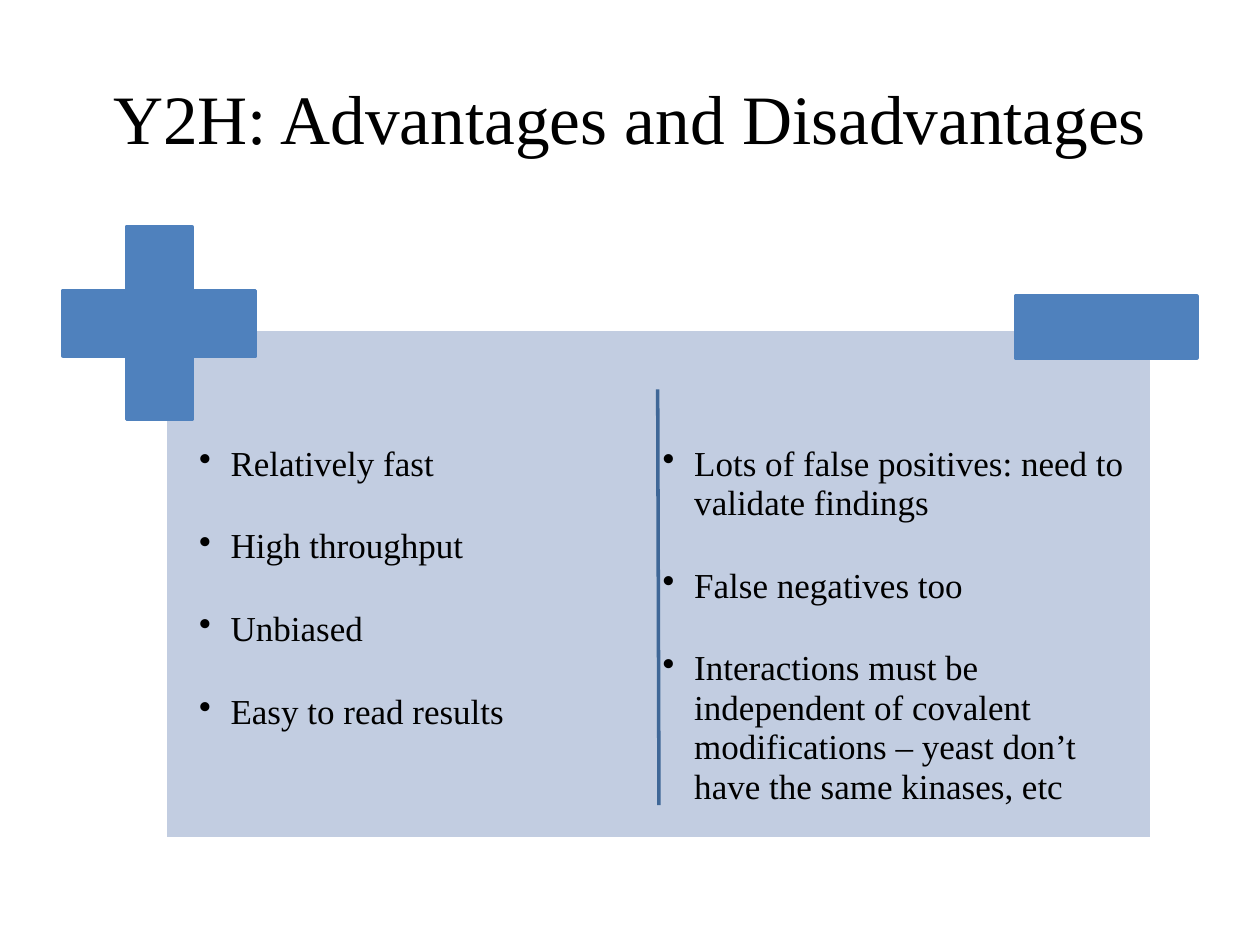
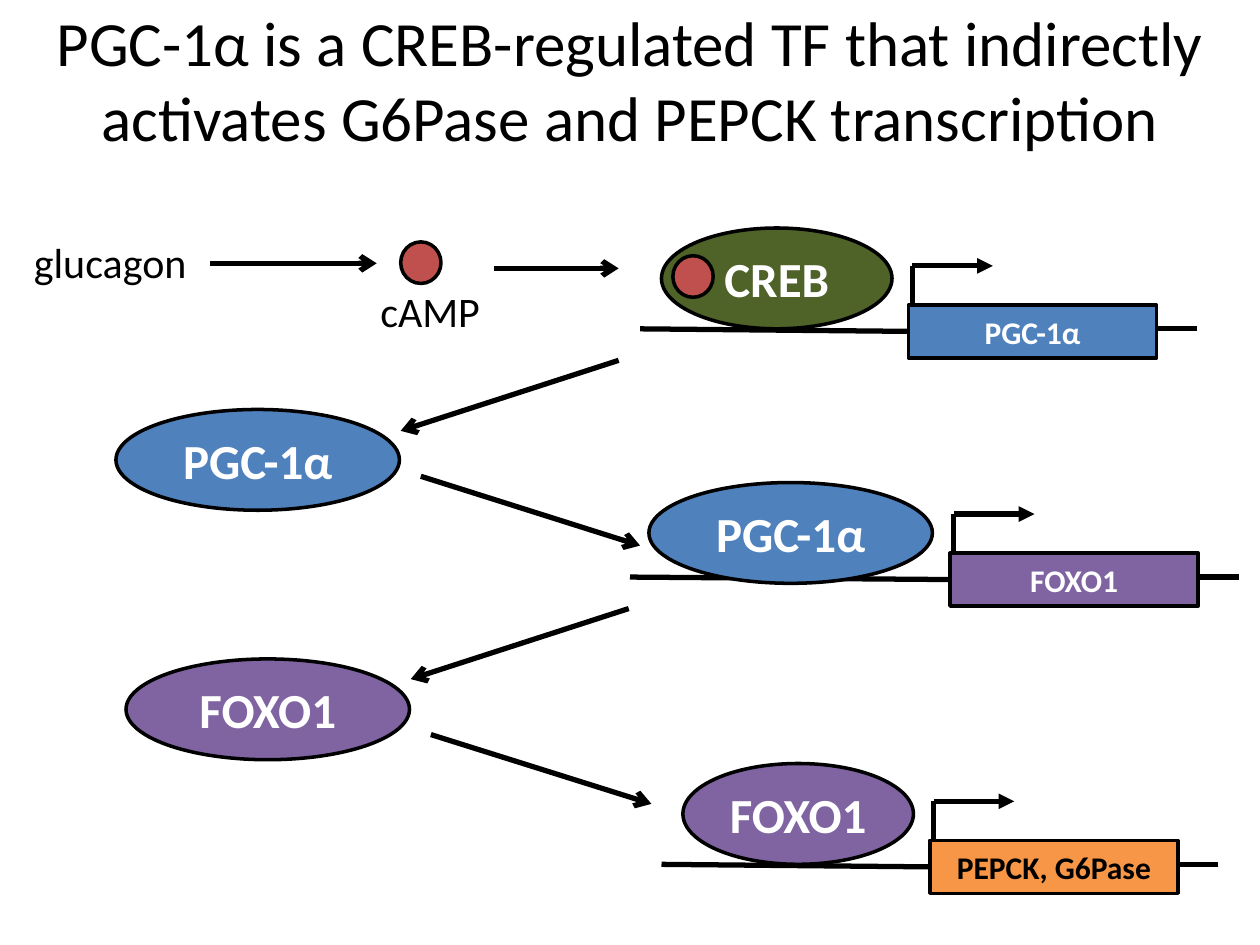
from dataclasses import dataclass

from lxml import etree
from pptx import Presentation
from pptx import util as u
from pptx.dml.color import RGBColor
from pptx.enum import shapes, text
from pptx.oxml import ns


@dataclass(frozen=True)
class Theme:
    serif: str = "Times New Roman"
    sans: str = "Calibri"
    black: str = "000000"
    white: str = "FFFFFF"
    blue: str = "4F81BD"
    pale_blue: str = "C2CDE1"
    dark_blue: str = "3F6797"
    purple: str = "8064A2"
    green: str = "4F6228"
    red: str = "C0504D"
    orange: str = "F79646"
    serif_title: float = 39.6
    sans_title: float = 36
    protein: float = 28
    label: float = 24
    bullet: float = 20
    gene: float = 18


T = Theme()
RECT = shapes.MSO_SHAPE.RECTANGLE
OVAL = shapes.MSO_SHAPE.OVAL
PLUS = shapes.MSO_SHAPE.CROSS


def add_box(s, kind, at, words="", size=T.label, color=T.black, font=T.sans,
            bold=False, fill=None, line=T.black, centered=True, wrap=True):
    at = [u.Inches(v) for v in at]
    if kind is None:
        sp = s.shapes.add_textbox(*at)
    else:
        sp = s.shapes.add_shape(kind, *at)
        sp.shadow.inherit = False
        sp.fill.solid()
        sp.fill.fore_color.rgb = RGBColor.from_string(fill)
        sp.line.color.rgb = RGBColor.from_string(line)
        sp.line.width = u.Pt(2)
    tf = sp.text_frame
    tf.word_wrap = wrap
    tf.vertical_anchor = text.MSO_ANCHOR.MIDDLE if centered else text.MSO_ANCHOR.TOP
    for i, content in enumerate(words.split("\n") if words else []):
        p = tf.add_paragraph() if i else tf.paragraphs[0]
        p.alignment = text.PP_ALIGN.CENTER if centered else text.PP_ALIGN.LEFT
        r = p.add_run()
        r.text = content
        r.font.name = font
        r.font.size = u.Pt(size)
        r.font.bold = bold
        r.font.color.rgb = RGBColor.from_string(color)
    return sp


def add_line(s, start, end, color=T.black, width=3, arrow=None):
    points = [u.Inches(v) for v in (*start, *end)]
    cxn = s.shapes.add_connector(shapes.MSO_CONNECTOR.STRAIGHT, *points)
    cxn.line.color.rgb = RGBColor.from_string(color)
    cxn.line.width = u.Pt(width)
    if arrow:
        etree.SubElement(cxn.line._get_or_add_ln(), ns.qn("a:tailEnd"), type=arrow)
    etree.SubElement(cxn._element.spPr, ns.qn("a:effectLst"))
    return cxn


prs = Presentation()
prs.slide_width = u.Inches(10)
prs.slide_height = u.Inches(7.5)
blank = prs.slide_layouts[6]

s = prs.slides.add_slide(blank)
add_box(s, None, (0.5, 0.3, 9, 1.25), "Y2H: Advantages and Disadvantages",
        T.serif_title, font=T.serif)
add_box(s, RECT, (1.31, 2.61, 7.83, 4.05), fill=T.pale_blue, line=T.white)

advantages = "Relatively fast\nHigh throughput\nUnbiased\nEasy to read results"
disadvantages = (
    "Lots of false positives: need to validate findings\n"
    "False negatives too\n"
    "Interactions must be independent of covalent modifications"
    " – yeast don’t have the same kinases, etc"
)
for left, width, points in ((1.54, 3.64, advantages), (5.22, 3.86, disadvantages)):
    sp = add_box(s, None, (left, 3.49, width, 3.05), points, T.bullet,
                 font=T.serif, centered=False)
    tf = sp.text_frame
    tf.margin_left = tf.margin_right = tf.margin_top = tf.margin_bottom = u.Inches(0.04)
    for i, p in enumerate(tf.paragraphs):
        pPr = p._p.get_or_add_pPr()
        pPr.set("marL", str(u.Inches(0.25)))
        pPr.set("indent", str(-u.Inches(0.25)))
        etree.SubElement(pPr, ns.qn("a:buChar"), char="•")
        p.line_spacing = 0.94
        if i:
            p.space_before = u.Pt(24.6)

plus = add_box(s, PLUS, (0.5, 1.8, 1.53, 1.53), fill=T.blue, line=T.blue)
plus.adjustments[0] = 0.33
add_box(s, RECT, (8.06, 2.35, 1.44, 0.49), fill=T.blue, line=T.blue)
add_line(s, (5.22, 3.09), (5.23, 6.39), T.dark_blue, 2)

s = prs.slides.add_slide(blank)
add_box(s, None, (-0.25, 0, 10.5, 1.25),
        "PGC-1α is a CREB-regulated TF that indirectly activates G6Pase and PEPCK transcription",
        T.sans_title)

promoters = (
    (7.21, 2.42, 5.08, "PGC-1α", T.blue, T.white, "CREB", T.green, (5.25, 1.81, 1.83)),
    (7.54, 4.39, 5, "FOXO1", T.purple, T.white, "PGC-1α", T.blue, (5.15, 3.83, 2.25)),
    (7.38, 6.67, 5.25, "PEPCK, G6Pase", T.orange, T.black, "FOXO1", T.purple, (5.42, 6.06, 1.83)),
)
for x, y, dna_left, gene, gene_fill, gene_color, protein, protein_fill, oval in promoters:
    start_x, start_y = x + 0.03, y - 0.31
    add_line(s, (start_x, y + 0.17), (start_x, start_y))
    add_line(s, (x + 2.29, y + 0.19), (x + 1.65, y + 0.19))
    gene_box = add_box(s, RECT, (x, y, 1.97, 0.42), gene, T.gene, gene_color,
                       bold=True, fill=gene_fill)
    dna = add_line(s, (dna_left, y + 0.19), (x, y + 0.21))
    dna.end_connect(gene_box, 1)
    add_line(s, (start_x, start_y), (start_x + 0.64, start_y), arrow="triangle")
    add_box(s, OVAL, (*oval, 0.8), protein, T.protein, T.white, bold=True, fill=protein_fill)

for left, top, protein, fill in ((0.92, 3.25, "PGC-1α", T.blue), (1, 5.23, "FOXO1", T.purple)):
    add_box(s, OVAL, (left, top, 2.25, 0.8), protein, T.protein, T.white, bold=True, fill=fill)

for left, top in ((3.18, 1.92), (5.34, 2.03)):
    add_box(s, OVAL, (left, top, 0.32, 0.33), fill=T.red)

for at, label in (((0.17, 1.83, 1.42, 0.5), "glucagon"), ((2.92, 2.22, 1, 0.5), "cAMP")):
    add_box(s, None, at, label, centered=False, wrap=False)

pathway = (
    ((1.67, 2.09), (2.99, 2.09)),
    ((3.92, 2.13), (4.91, 2.13)),
    ((4.91, 2.86), (3.18, 3.42)),
    ((3.34, 3.78), (5.08, 4.33)),
    ((4.99, 4.83), (3.26, 5.39)),
    ((3.42, 5.83), (5.17, 6.38)),
)
for start, end in pathway:
    add_line(s, start, end, arrow="arrow")

prs.save("out.pptx")
